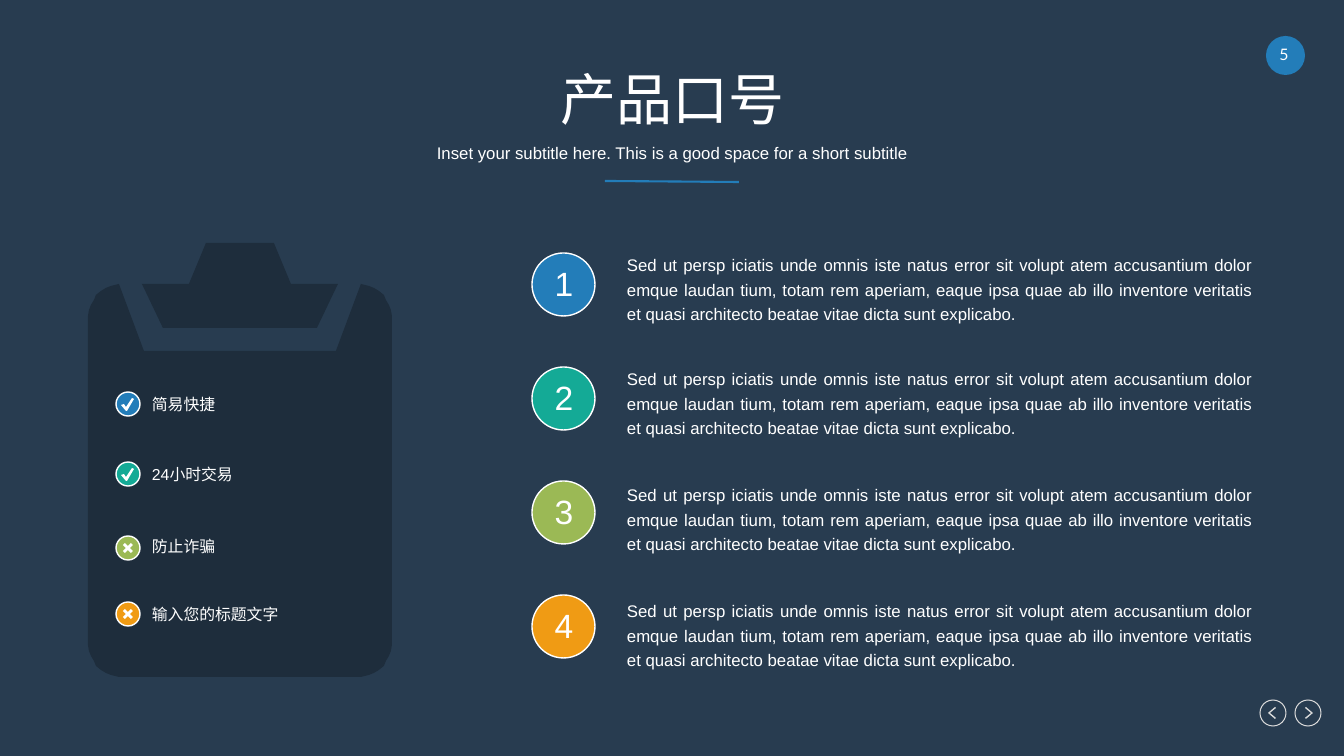
from lxml import etree
from pptx import Presentation
from pptx import util as u
from pptx.dml.color import RGBColor
from pptx.enum import shapes, text
from pptx.oxml import ns

PX = 914400 / 100.8
NAVY, DARK, WHITE, GREY = "283C50", "1E2D3C", "FFFFFF", "D9D9D9"
BLUE, TEAL, GREEN, ORANGE = "237DB9", "14AA96", "9BB955", "F09B14"
LEFT, CENTER, JUSTIFY = text.PP_ALIGN.LEFT, text.PP_ALIGN.CENTER, text.PP_ALIGN.JUSTIFY

TICK = [(-2, 7), (-7, 1), (-4, 0), (-2, 3), (4, -6), (6, -5), (-1, 7)]
CROSS = [(0, -2), (3, -5), (5, -3), (2, 0), (5, 3), (3, 5),
         (0, 2), (-3, 5), (-5, 3), (-2, 0), (-5, -3), (-3, -5)]
CHEVRON = [(2, -6), (-5, 0), (2, 6), (3, 5), (-3, 0), (3, -5)]
BOARD_CORNER = [(119, 284), (111, 286), (106, 288), (101, 291), (96, 295),
                (94, 300), (91, 305), (89, 310), (88, 316)]
CLIP_HALF = [(163, 328), (142, 284), (189, 284), (206, 243)]

# label, colour, mark, centre of the badge, top of the label
FEATURES = [("简易快捷", BLUE, TICK, 404, 395),
            ("24小时交易", TEAL, TICK, 474, 465),
            ("防止诈骗", GREEN, CROSS, 548, 537),
            ("输入您的标题文字", ORANGE, CROSS, 614, 605)]
# colour, top of the paragraph
STEPS = [(BLUE, 251), (TEAL, 365), (GREEN, 481), (ORANGE, 597)]
STEP_TEXT = ("Sed ut persp iciatis unde omnis iste natus error sit volupt atem "
             "accusantium dolor emque laudan tium, totam rem aperiam, eaque ipsa quae "
             "ab illo inventore veritatis et quasi architecto beatae vitae dicta sunt "
             "explicabo.")


def px(*lengths):
    """Turn pixels into EMU."""
    return [u.Emu(round(length * PX)) for length in lengths]


def rgb(code):
    """Turn a hex string into a colour."""
    return RGBColor.from_string(code)


def paint(shape, fill=None, line=None, weight=1):
    """Set fill and outline, either of which may be absent, and drop the shadow."""
    shape.shadow.inherit = False
    if fill:
        shape.fill.solid()
        shape.fill.fore_color.rgb = rgb(fill)
    else:
        shape.fill.background()
    if line:
        shape.line.color.rgb = rgb(line)
        shape.line.width = u.Pt(weight)
    else:
        shape.line.fill.background()


def write(holder, words, size=12, font="Arial", color=WHITE, align=LEFT,
          anchor=text.MSO_ANCHOR.TOP, leading=None):
    """Put one formatted paragraph into a text holder without insets."""
    frame = holder.text_frame
    frame.word_wrap = True
    frame.auto_size = text.MSO_AUTO_SIZE.NONE
    frame.vertical_anchor = anchor
    frame.margin_left = frame.margin_right = frame.margin_top = frame.margin_bottom = 0
    paragraph = frame.paragraphs[0]
    paragraph.alignment = align
    paragraph.space_before = u.Pt(0)
    if leading:
        paragraph.line_spacing = u.Pt(leading)
    run = paragraph.add_run()
    run.text = words
    run.font.size = u.Pt(size)
    run.font.name = font
    run.font.color.rgb = rgb(color)
    return paragraph


def label(parent, words, box, **style):
    """Add a text box at (left, top, width, height)."""
    write(parent.add_textbox(*px(*box)), words, **style)


def circle(parent, left, top, size, **look):
    """Add a painted circle."""
    paint(parent.add_shape(shapes.MSO_SHAPE.OVAL, *px(left, top, size, size)), **look)


def outline(parent, contours, color):
    """Add one filled freeform made of closed contours."""
    first, *others = contours
    builder = parent.build_freeform(*first[0], scale=PX)
    builder.add_line_segments(first[1:], close=True)
    for contour in others:
        builder.move_to(*contour[0])
        builder.add_line_segments(contour[1:], close=True)
    paint(builder.convert_to_shape(), fill=color)


def icon(parent, points, x, y, color, flip=1):
    """Draw a small mark around a centre, mirrored when flip is -1."""
    outline(parent, [[(x + flip * dx, y + dy) for dx, dy in points]], color)


def symmetric(half, axis=240):
    """Complete a left half outline with its mirror image."""
    return half + [(2 * axis - x, y) for x, y in reversed(half)]


def heading(slide):
    """Fill the title and subtitle placeholders and underline them."""
    title, subtitle = slide.placeholders
    for holder, words, size, top, height in (
            (title, "产品口号", 40, 65, 67),
            (subtitle, "Inset your subtitle here. This is a good space for a short subtitle",
             12, 136, 33)):
        holder.left, holder.top, holder.width, holder.height = px(88, top, 1169, height)
        paragraph = write(holder, words, size=size, align=CENTER,
                          anchor=text.MSO_ANCHOR.MIDDLE)
    properties = paragraph._p.get_or_add_pPr()
    properties.set("marL", "0")
    properties.set("indent", "0")
    etree.SubElement(properties, ns.qn("a:buNone"))

    rule = slide.shapes.add_connector(shapes.MSO_CONNECTOR.STRAIGHT, *px(605, 181, 739, 182))
    rule.line.color.rgb = rgb(BLUE)
    rule.line.width = u.Pt(1.5)
    etree.SubElement(rule._element.spPr, ns.qn("a:effectLst"))


def navigation(parent):
    """Add the page badge and the back and forward buttons."""
    circle(parent, 1266, 36, 39, fill=BLUE)
    label(parent, "5", (1268, 45, 32, 19), size=11.3, font="Lato", align=CENTER)
    for left, flip in ((1260, 1), (1295, -1)):
        circle(parent, left, 700, 26, line=GREY, weight=0.75)
        icon(parent, CHEVRON, left + 13, 713, GREY, flip)


def clipboard(parent):
    """Draw the clipboard with its list of features."""
    bottom_corner = [(x, 961 - y) for x, y in reversed(BOARD_CORNER)]
    board = symmetric([(144, 351)] + BOARD_CORNER + bottom_corner)
    outline(parent, [board, symmetric(CLIP_HALF)], DARK)
    for words, color, mark, center, top in FEATURES:
        circle(parent, 116, center - 12, 24, fill=color, line=WHITE)
        icon(parent, mark, 128, center, WHITE)
        label(parent, words, (152, top, 215, 25), size=11.3)


def step(parent, number, color, text_top):
    """Add a numbered circle with its paragraph."""
    top = 253 + 114 * (number - 1)
    circle(parent, 532, top, 63, fill=color, line=WHITE)
    label(parent, str(number), (539, top + 10, 50, 37), size=24, align=CENTER)
    label(parent, STEP_TEXT, (627, text_top, 626, 73), align=JUSTIFY, leading=17.3)


def main():
    """Build the slide and save it."""
    deck = Presentation()
    deck.slide_width, deck.slide_height = px(1344, 756)
    slide = deck.slides.add_slide(deck.slide_layouts[1])
    slide.background.fill.solid()
    slide.background.fill.fore_color.rgb = rgb(NAVY)
    heading(slide)
    navigation(slide.shapes)
    clipboard(slide.shapes.add_group_shape().shapes)
    for number, (color, text_top) in enumerate(STEPS, 1):
        step(slide.shapes.add_group_shape().shapes, number, color, text_top)
    deck.save("out.pptx")


main()
